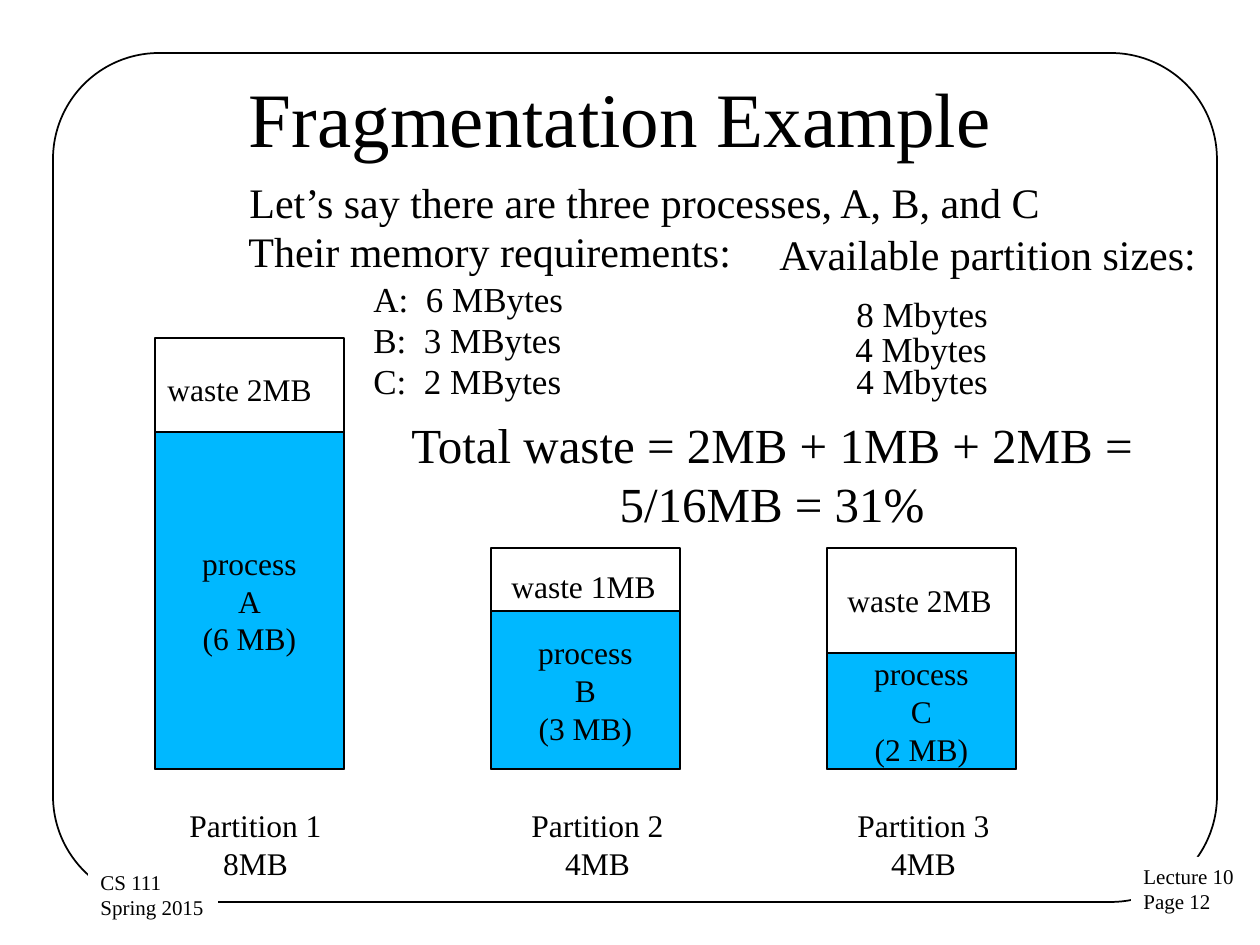
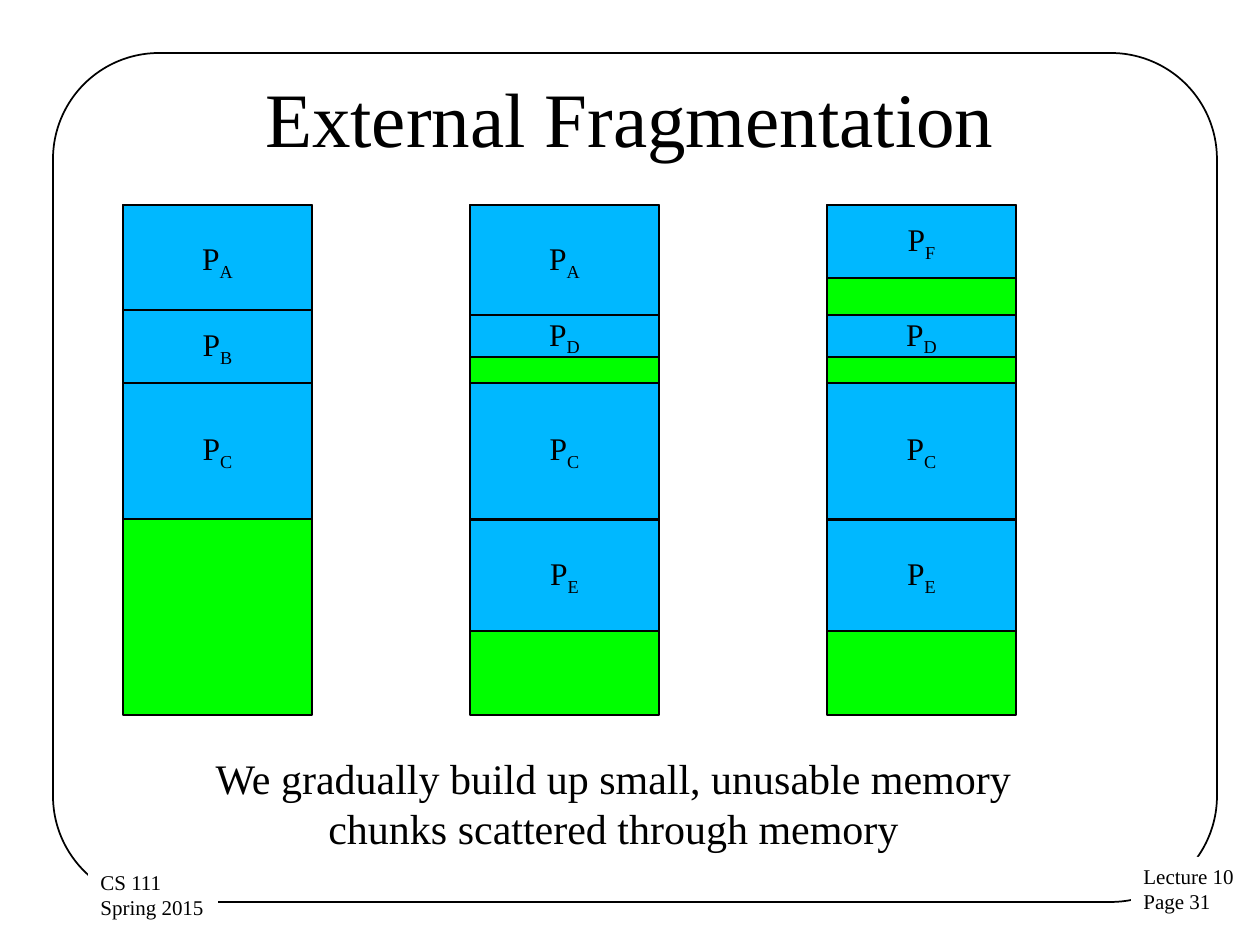
import pptx
import pptx.util
import pptx.dml.color
import pptx.enum.shapes
import pptx.enum.text

RGB = pptx.dml.color.RGBColor
SHAPE = pptx.enum.shapes.MSO_SHAPE
ALIGN = pptx.enum.text.PP_ALIGN
FIT = pptx.enum.text.MSO_AUTO_SIZE
ANCHOR = pptx.enum.text.MSO_ANCHOR

BLACK = RGB(0, 0, 0)
WHITE = RGB(255, 255, 255)
BLUE = RGB(0, 0xB8, 255)
GREEN = RGB(0, 255, 0)
FONT = "Times New Roman"
SCALE = 914400 / 126


class Deck:
    """Holds the style and the current slide."""

    def __init__(self):
        self.file = pptx.Presentation()
        self.file.slide_width = pptx.util.Inches(10)
        self.file.slide_height = pptx.util.Inches(7.5)

    def units(self, *sizes):
        return [pptx.util.Emu(round(size * SCALE)) for size in sizes]

    def start(self, title, page):
        """New slide with frame, footers and title."""
        self.slide = self.file.slides.add_slide(self.file.slide_layouts[6])
        frame = self.shape(SHAPE.ROUNDED_RECTANGLE, 53, 53, 1164, 849, width=1)
        frame.adjustments[0] = 0.125
        self.footer(1131, 857, 117, f"Lecture 10\nPage {page}")
        self.footer(88, 863, 130, "CS 111\nSpring 2015 ")
        head = self.text(63, 38, 1134, 158, title, 44, center=True, wrap=True)
        head.text_frame.auto_size = FIT.NONE
        head.text_frame.vertical_anchor = ANCHOR.MIDDLE

    def shape(self, kind, left, top, wide, high, fill=None, width=0.75):
        item = self.slide.shapes.add_shape(
            kind, *self.units(left, top, wide, high))
        item.shadow.inherit = False
        if fill is None:
            item.fill.background()
        else:
            item.fill.solid()
            item.fill.fore_color.rgb = fill
        if width:
            item.line.color.rgb = BLACK
            item.line.width = pptx.util.Pt(width)
        else:
            item.line.fill.background()
        return item

    def label(self, item, words, size, center, wrap=False):
        frame = item.text_frame
        frame.word_wrap = wrap
        frame.text = words
        for para in frame.paragraphs:
            para.alignment = ALIGN.CENTER if center else ALIGN.LEFT
            para.font.name = FONT
            para.font.size = pptx.util.Pt(size)
            para.font.color.rgb = BLACK

    def text(self, left, top, wide, high, words, size,
             center=False, wrap=False):
        item = self.slide.shapes.add_textbox(
            *self.units(left, top, wide, high))
        self.label(item, words, size, center, wrap)
        item.text_frame.auto_size = FIT.SHAPE_TO_FIT_TEXT
        return item

    def footer(self, left, top, wide, words):
        item = self.shape(SHAPE.RECTANGLE, left, top, wide, 64, WHITE, 0)
        self.label(item, words, 12, center=False)
        item.text_frame.vertical_anchor = ANCHOR.TOP

    def block(self, left, top, high, fill=None, words="", sub=""):
        """Memory block with an optional label and subscript."""
        item = self.shape(SHAPE.RECTANGLE, left, top, 189, high, fill)
        if words:
            self.label(item, words, 18, center=True)
            item.text_frame.vertical_anchor = ANCHOR.MIDDLE
        if sub:
            run = item.text_frame.paragraphs[0].add_run()
            run.text = sub
            run.font._element.set("baseline", "-25000")


deck = Deck()

# Slide 1: three fixed partitions and the waste in each
deck.start("Fragmentation Example ", 12)
BASE = 769
# process, its MB, partition MB, block top, process top,
# label left, waste left, waste top
PARTS = [
    ("A", 6, 8, 338, 432, 176, 155, 364),
    ("B", 3, 4, 548, 611, 518, 499, 561),
    ("C", 2, 4, 548, 653, 844, 835, 575),
]
for index, part in enumerate(PARTS):
    name, need, room, top, used, label, spare, level = part
    left = 155 + 336 * index
    deck.block(left, top, BASE - top)
    deck.block(left, used, BASE - used, BLUE, f"process\n{name}\n({need} MB)")
    deck.text(label, 800, 159, 89, f"Partition {index + 1}\n{room}MB", 18,
              center=True)
    deck.text(spare, level, 189, 50, f"waste {room - need}MB", 18, wrap=True)

deck.text(347, 408, 850, 131, "Total waste = 2MB + 1MB + 2MB = 5/16MB = 31%",
          28, center=True, wrap=True)

# Requirements and partition sizes
deck.text(237, 170, 824, 63,
          "Let\u2019s say there are three processes, A, B, and C", 24)
deck.text(236, 219, 513, 63, "Their memory requirements:", 24)
deck.text(767, 222, 449, 63, "Available partition sizes:", 24)
for index, part in enumerate(PARTS):
    deck.text(361, 271 + 41 * index, 216, 55,
              f"{part[0]}:  {part[1]} MBytes", 20)
for size, left, top in [(8, 844, 286), (4, 843, 321), (4, 844, 353)]:
    deck.text(left, top, 158, 55, f"{size} Mbytes", 20)

# Slide 2: memory over time, free space in green
deck.start("External Fragmentation", 31)
SPOTS = {"A": (205, 111), "B": (310, 73), "C": (383, 136),
         "D": (315, 42), "E": (520, 111), "F": (205, 73)}
for left, names in [(123, "ABC"), (470, "ACDE"), (827, "CDEF")]:
    deck.block(left, 205, 510, GREEN)
    for name in names:
        deck.block(left, *SPOTS[name], BLUE, "P", name)

deck.text(180, 746, 867, 115, "We gradually build up small, unusable memory "
          "chunks scattered through memory", 24, center=True, wrap=True)

deck.file.save("out.pptx")
